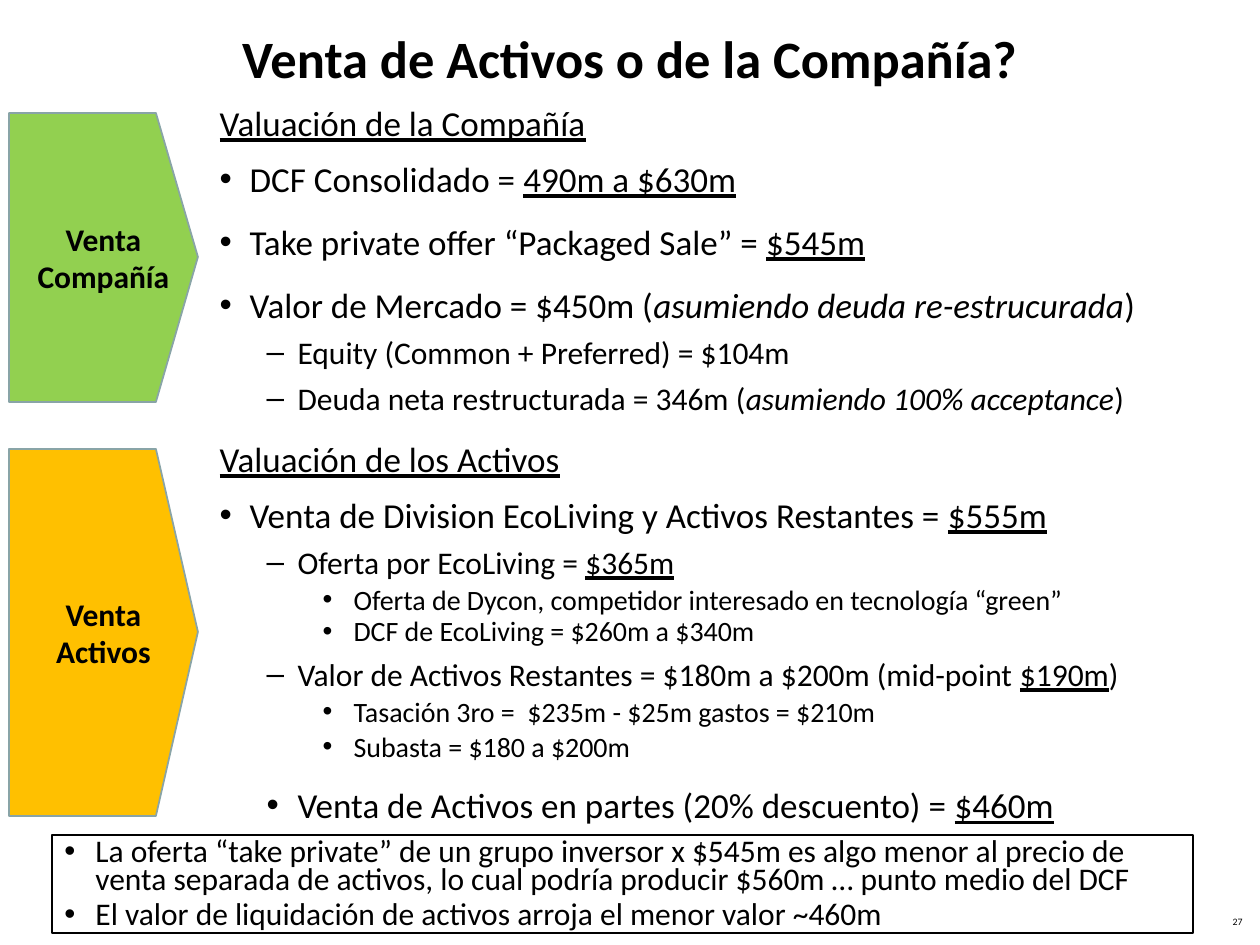
from dataclasses import dataclass
from lxml import etree
from pptx import Presentation
from pptx import util as u
from pptx.dml.color import RGBColor
from pptx.enum import shapes, text
from pptx.oxml import ns

BLACK = RGBColor(0, 0, 0)
GREEN = RGBColor(0x92, 0xD0, 0x50)
AMBER = RGBColor(0xFF, 0xC0, 0x00)
EDGE = RGBColor(0x89, 0xA4, 0xA7)
FONT = "Calibri"


@dataclass
class Box:
    x: int
    y: int
    w: int
    h: int


@dataclass
class Kind:
    level: int
    left: int
    hang: int
    mark: str
    size: int
    lead: int
    gap: int


@dataclass
class Row:
    kind: Kind
    words: str
    look: str = "underline"


@dataclass
class Arrow:
    box: Box
    words: str
    fill: RGBColor


HEAD = Kind(0, 0, 0, "", 20, 20, 16)
FIRST = Kind(0, 30, 30, "•", 20, 20, 12)
MAIN = Kind(0, 30, 30, "•", 20, 20, 16)
DASH = Kind(1, 78, 31, "–", 18, 20, 6)
SUB = Kind(2, 134, 31, "•", 16, 16, 4)
TIGHT = Kind(2, 134, 31, "•", 16, 14, 4)
LAST = Kind(1, 78, 31, "•", 20, 20, 16)
NOTE = Kind(0, 31, 31, "•", 18, 16, 4)

ROWS = [
    Row(HEAD, "|Valuación de la Compañía|"),
    Row(FIRST, "DCF Consolidado = |490m a $630m|"),
    Row(MAIN, "Take private offer “Packaged Sale” = |$545m|"),
    Row(MAIN, "Valor de Mercado = $450m (|asumiendo deuda re-estrucurada|)", "italic"),
    Row(DASH, "Equity (Common + Preferred) = $104m"),
    Row(DASH, "Deuda neta restructurada = 346m (|asumiendo 100% acceptance|)", "italic"),
    Row(HEAD, "|Valuación de los Activos|"),
    Row(FIRST, "Venta de Division EcoLiving y Activos Restantes = |$555m|"),
    Row(DASH, "Oferta por EcoLiving = |$365m|"),
    Row(SUB, "Oferta de Dycon, competidor interesado en tecnología “green”"),
    Row(TIGHT, "DCF de EcoLiving = $260m a $340m"),
    Row(DASH, "Valor de Activos Restantes = $180m a $200m (mid-point |$190m|)"),
    Row(SUB, "Tasación 3ro =  $235m - $25m gastos = $210m"),
    Row(SUB, "Subasta = $180 a $200m"),
    Row(LAST, "Venta de Activos en partes (20% descuento) = |$460m|"),
]
NOTES = [
    Row(NOTE, "La oferta “take private” de un grupo inversor x $545m es algo menor "
              "al precio de venta separada de activos, lo cual podría producir "
              "$560m … punto medio del DCF"),
    Row(NOTE, "El valor de liquidación de activos arroja el menor valor ~460m"),
]
ARROWS = [
    Arrow(Box(9, 113, 189, 289), "Venta Compañía", GREEN),
    Arrow(Box(9, 449, 189, 367), "Venta Activos", AMBER),
]


def px(n: int) -> int:
    return round(n * 914400 / 126)


def put(item, vals: dict) -> None:
    for key, val in vals.items():
        setattr(item, key, val)


def place(shape, box: Box) -> None:
    put(shape, dict(left=px(box.x), top=px(box.y), width=px(box.w), height=px(box.h)))


def frame(shape, anchor):
    body = shape.text_frame
    put(body, dict(word_wrap=True, auto_size=text.MSO_AUTO_SIZE.NONE,
                   vertical_anchor=anchor))
    return body


def write(para, words: str, size: float, **looks) -> None:
    run = para.add_run()
    run.text = words
    put(run.font, dict(name=FONT, size=u.Pt(size), **looks))
    run.font.color.rgb = BLACK


def label(shape, words: str, size: float, align, anchor, **looks) -> None:
    para = frame(shape, anchor).paragraphs[0]
    para.alignment = align
    write(para, words, size, **looks)


def bullet(para, kind: Kind) -> None:
    props = para._p.get_or_add_pPr()
    props.set("marL", str(px(kind.left)))
    props.set("indent", str(-px(kind.hang)))
    if kind.mark:
        etree.SubElement(props, ns.qn("a:buFont")).set("typeface", "Arial")
        etree.SubElement(props, ns.qn("a:buChar")).set("char", kind.mark)
    else:
        etree.SubElement(props, ns.qn("a:buNone"))


def fill_list(shape, rows: list[Row]) -> None:
    body = frame(shape, text.MSO_ANCHOR.TOP)
    for i, row in enumerate(rows):
        para = body.add_paragraph() if i else body.paragraphs[0]
        kind = row.kind
        put(para, dict(level=kind.level, alignment=text.PP_ALIGN.LEFT,
                       line_spacing=u.Pt(kind.lead), space_before=u.Pt(kind.gap)))
        bullet(para, kind)
        for j, part in enumerate(row.words.split("|")):
            if part:
                write(para, part, kind.size, **({row.look: True} if j % 2 else {}))


def draw_arrow(slide, arrow: Arrow) -> None:
    b = arrow.box
    right, low, neck = b.x + b.w, b.y + b.h, b.x + b.w - 42
    path = slide.shapes.build_freeform(b.x, b.y, scale=914400 / 126)
    path.add_line_segments([(neck, b.y), (right, b.y + b.h // 2), (neck, low), (b.x, low)])
    shape = path.convert_to_shape()
    shape.shadow.inherit = False
    shape.fill.solid()
    shape.fill.fore_color.rgb = arrow.fill
    shape.line.color.rgb = EDGE
    shape.line.width = u.Pt(1)
    label(shape, arrow.words, 18, text.PP_ALIGN.CENTER, text.MSO_ANCHOR.MIDDLE, bold=True)


def draw_note(slide, box: Box) -> None:
    shape = slide.shapes.add_shape(shapes.MSO_SHAPE.RECTANGLE, 0, 0, 0, 0)
    place(shape, box)
    shape.shadow.inherit = False
    shape.fill.background()
    shape.line.color.rgb = BLACK
    shape.line.width = u.Pt(0.75)
    fill_list(shape, NOTES)


def main() -> None:
    deck = Presentation()
    put(deck, dict(slide_width=px(1260), slide_height=px(945)))
    slide = deck.slides.add_slide(deck.slide_layouts[1])
    title, body = slide.placeholders
    place(title, Box(63, 0, 1134, 115))
    label(title, "Venta de Activos o de la Compañía?", 30,
          text.PP_ALIGN.CENTER, text.MSO_ANCHOR.MIDDLE, bold=True)
    for arrow in ARROWS:
        draw_arrow(slide, arrow)
    place(body, Box(207, 102, 1021, 757))
    fill_list(body, ROWS)
    draw_note(slide, Box(52, 835, 1141, 98))
    page = slide.shapes.add_textbox(0, 0, 0, 0)
    place(page, Box(961, 910, 294, 26))
    label(page, "27", 5.6, text.PP_ALIGN.RIGHT, text.MSO_ANCHOR.TOP)
    deck.save("out.pptx")


if __name__ == "__main__":
    main()
